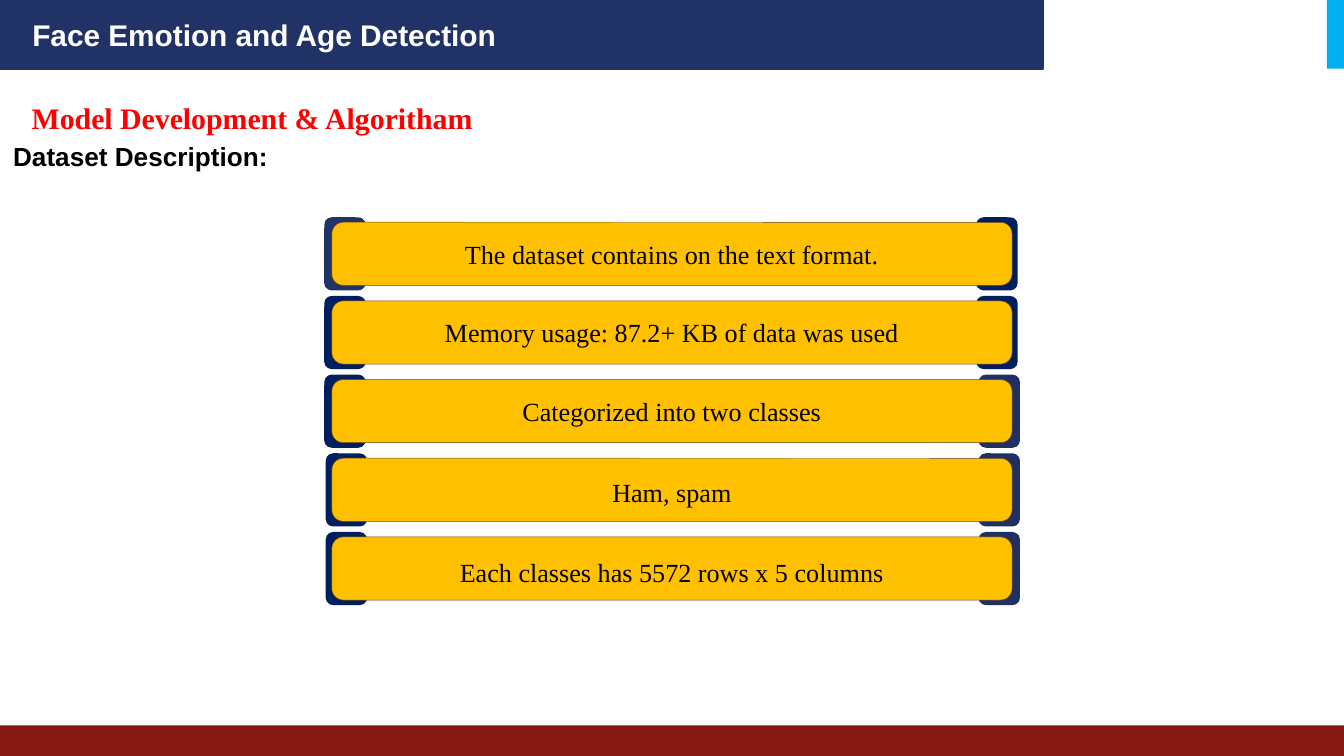
from pptx import Presentation
from pptx.dml.color import RGBColor
from pptx.enum.shapes import MSO_SHAPE
from pptx.enum.text import MSO_ANCHOR, PP_ALIGN
from pptx.util import Pt

RECT, ROUNDED = MSO_SHAPE.RECTANGLE, MSO_SHAPE.ROUNDED_RECTANGLE
CENTER, MIDDLE = PP_ALIGN.CENTER, MSO_ANCHOR.MIDDLE

HEADER = RGBColor(0x21, 0x33, 0x66)
NAVY = RGBColor(0x00, 0x1F, 0x5F)
INDIGO = RGBColor(0x20, 0x30, 0x62)
MAROON = RGBColor(0x85, 0x18, 0x10)
CYAN = RGBColor(0x00, 0xAF, 0xEF)
GOLD = RGBColor(0xFF, 0xC0, 0x00)
BROWN = RGBColor(0x6C, 0x46, 0x14)
WHITE = RGBColor(0xFF, 0xFF, 0xFF)
RED = RGBColor(0xFF, 0x00, 0x00)
BLACK = RGBColor(0x00, 0x00, 0x00)
SANS, SERIF = "Arial", "Times New Roman"

# Headings: text, left, top, size, font, colour
HEADINGS = [
    ("Face Emotion and Age Detection", 17.3, 9, 16, SANS, WHITE),
    ("Model Development & Algoritham", 17, 53.2, 16, SERIF, RED),
    ("Dataset Description:", 7, 75.2, 14, SANS, BLACK),
]

# Rows: text, top inset, (left, colour) of the left tab and of the right tab
ROWS = [
    ("The dataset contains on the text format.", 0, (173.7, HEADER), (523, NAVY)),
    ("Memory usage: 87.2+ KB of data was used", 0, (173.7, NAVY), (523, NAVY)),
    ("Categorized into two classes", 0, (173.7, NAVY), (524.2, INDIGO)),
    ("Ham, spam", 2, (174.5, NAVY), (524.2, INDIGO)),
    ("Each classes has 5572 rows x 5 columns", 4, (174.5, NAVY), (524.2, INDIGO)),
]
ROW_TOP, ROW_STEP = 116.4, 42.15
TAB_W, TAB_H = 22.2, 39.2
BAR_LEFT, BAR_W, BAR_H = 177.8, 364.4, 33.8

prs = Presentation()
prs.slide_width, prs.slide_height = Pt(720), Pt(405)
s = prs.slides.add_slide(prs.slide_layouts[6])


def add_block(kind, x, y, w, h, fill, line=None, line_w=0.25, radius=0.18):
    sp = s.shapes.add_shape(kind, Pt(x), Pt(y), Pt(w), Pt(h))
    sp.shadow.inherit = False
    sp.fill.solid()
    sp.fill.fore_color.rgb = fill
    if line is None:
        sp.line.fill.background()
    else:
        sp.line.color.rgb = line
        sp.line.width = Pt(line_w)
    if kind == ROUNDED:
        sp.adjustments[0] = radius
    return sp


def set_text(sp, text, size, font, color, bold=False, top=0):
    tf = sp.text_frame
    tf.word_wrap = True
    tf.margin_left = tf.margin_right = tf.margin_bottom = 0
    tf.margin_top = Pt(top)
    p = tf.paragraphs[0]
    p.text = text
    p.font.size, p.font.name, p.font.bold = Pt(size), font, bold
    p.font.color.rgb = color
    return tf


# Header, footer and corner bands
add_block(RECT, 0, 0, 558.9, 36.9, HEADER, HEADER, 1)
add_block(RECT, 0, 388.6, 720, 16.4, MAROON)
add_block(RECT, 710.8, 0, 9.2, 36.8, CYAN)

# Headings
for text, x, y, size, font, color in HEADINGS:
    box = s.shapes.add_textbox(Pt(x), Pt(y), Pt(400), Pt(size * 1.2))
    set_text(box, text, size, font, color, bold=True)

# Gold bars, each over a pair of tabs
for i, (text, inset, *tabs) in enumerate(ROWS):
    y = ROW_TOP + i * ROW_STEP
    for x, color in tabs:
        add_block(ROUNDED, x, y, TAB_W, TAB_H, color)
    bar = add_block(ROUNDED, BAR_LEFT, y + (TAB_H - BAR_H) / 2, BAR_W, BAR_H, GOLD, BROWN)
    tf = set_text(bar, text, 14, SERIF, BLACK, top=inset)
    tf.vertical_anchor = MIDDLE
    tf.paragraphs[0].alignment = CENTER

prs.save("out.pptx")
